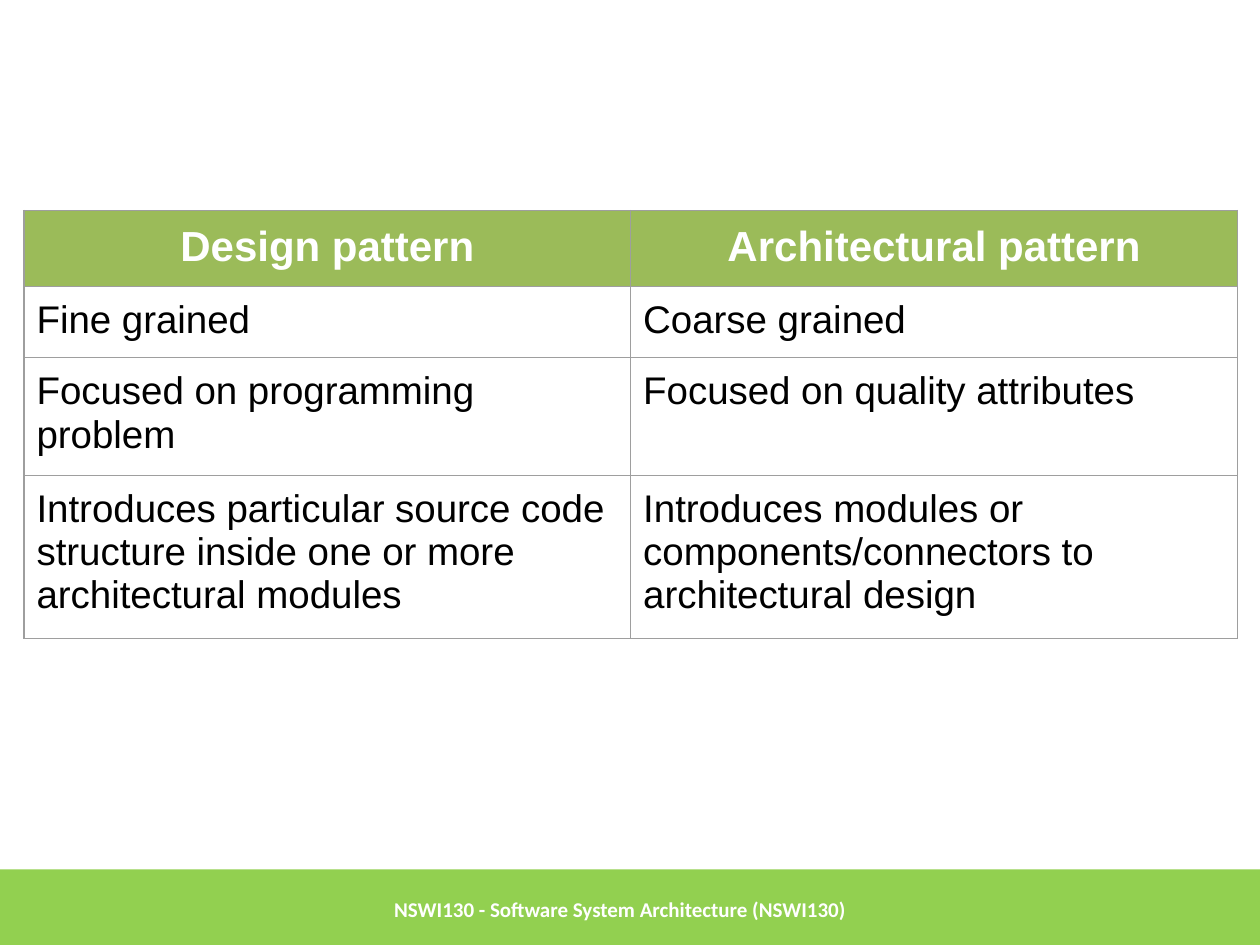
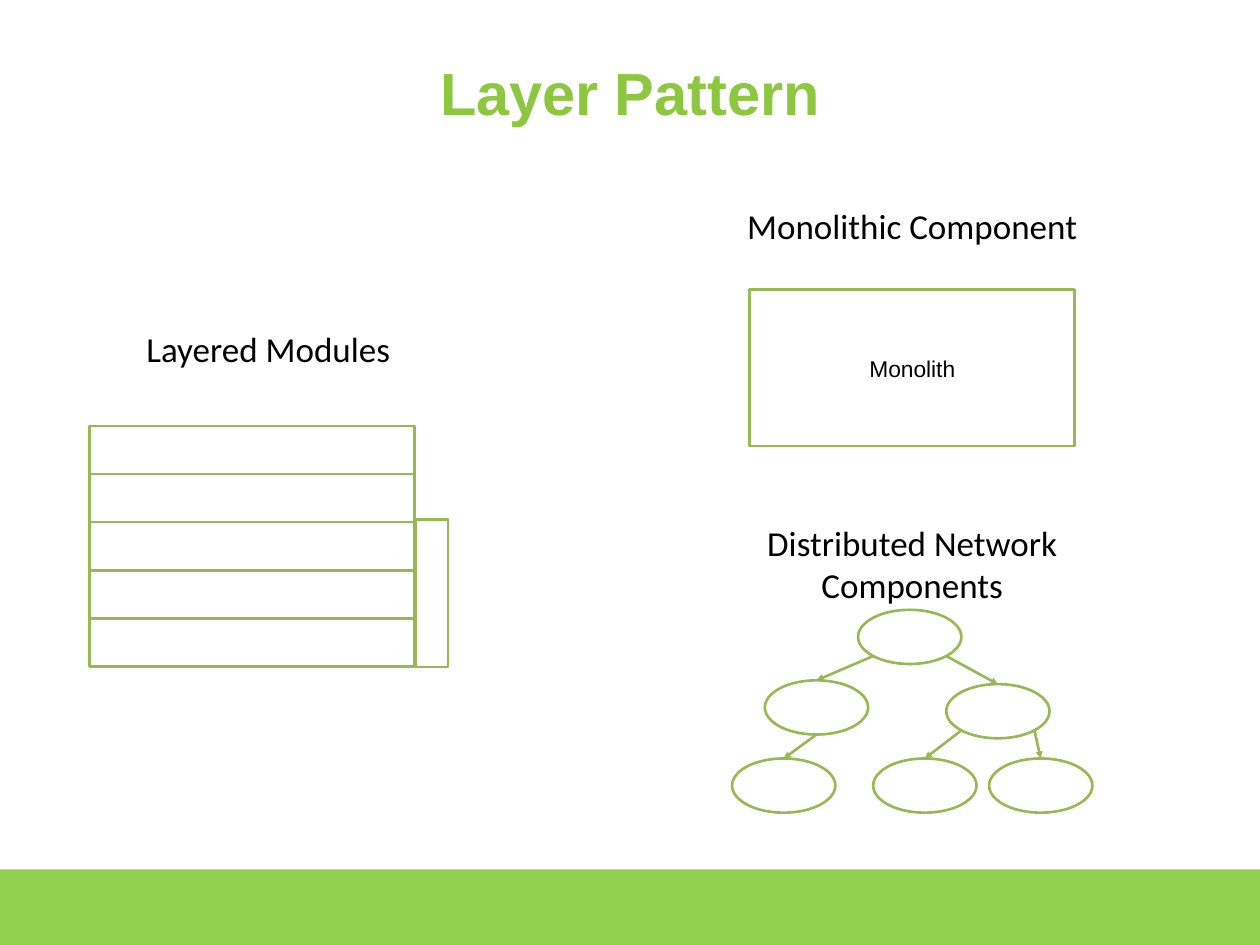
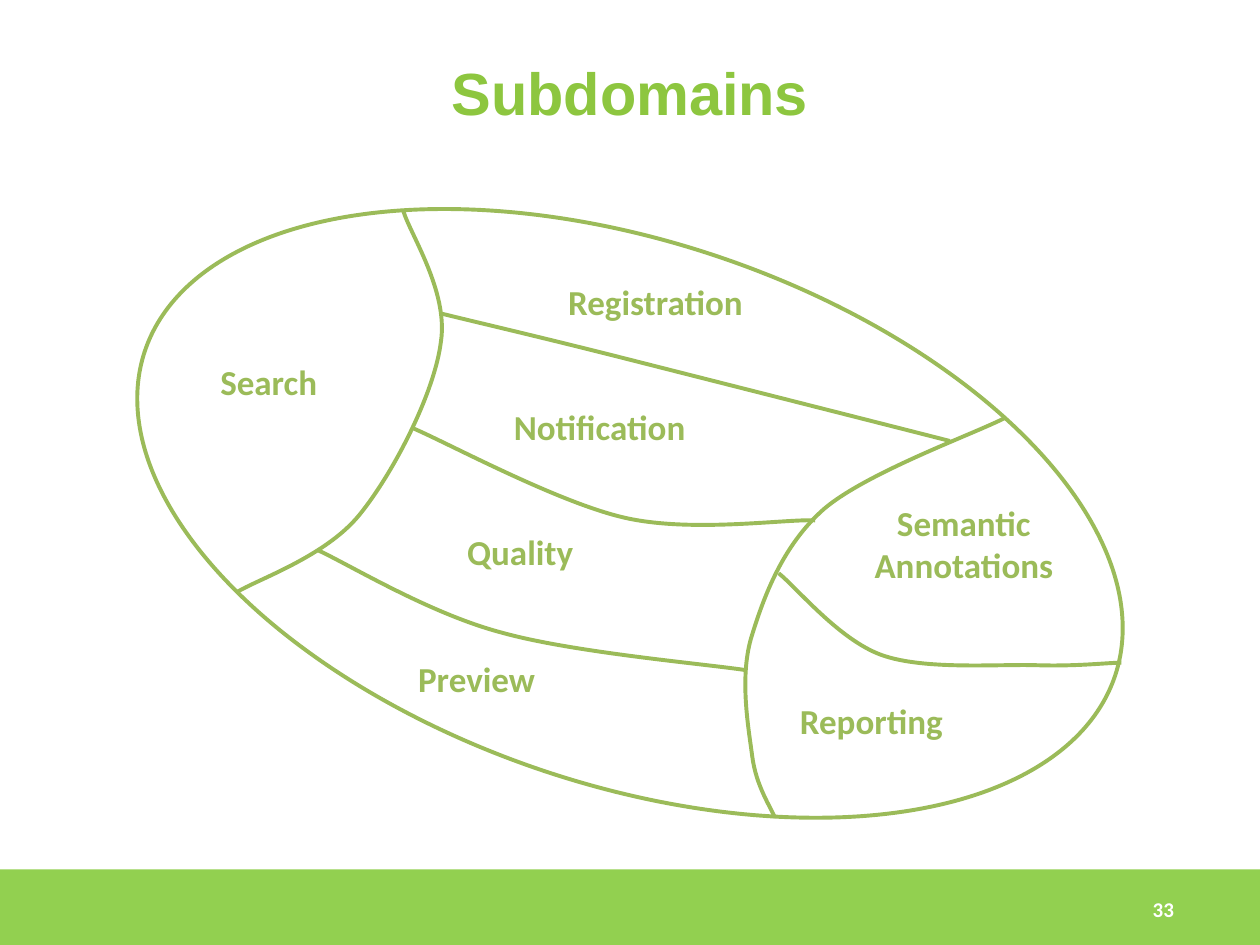
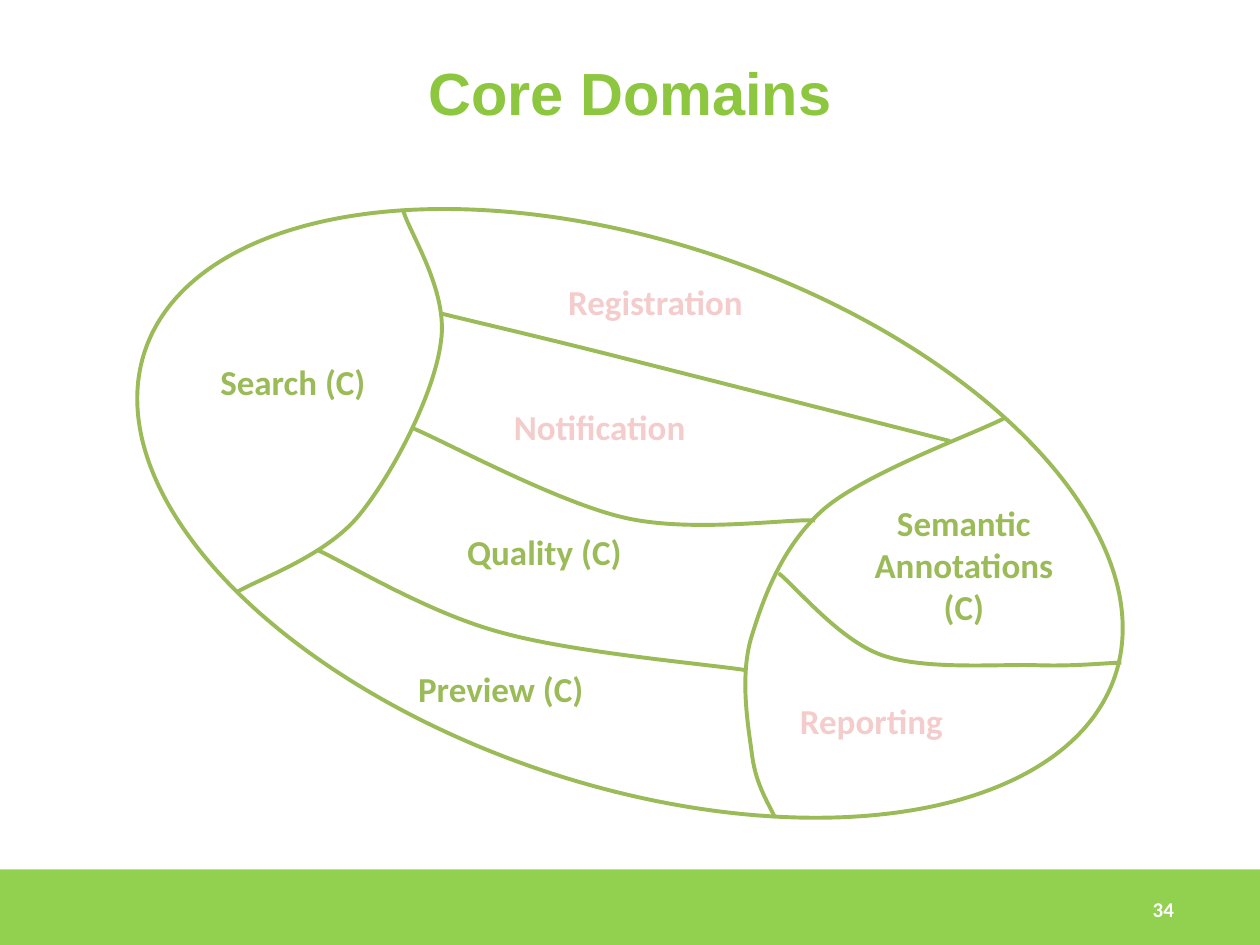
"""Build four slides on architectural patterns and domain decomposition."""
from math import sqrt

from lxml.etree import SubElement
from pptx import Presentation
from pptx.dml.color import RGBColor
from pptx.enum.shapes import MSO_CONNECTOR, MSO_SHAPE
from pptx.enum.text import MSO_ANCHOR, PP_ALIGN
from pptx.oxml.ns import qn
from pptx.util import Inches, Pt

COLORS = {
    "band": "92D050", "title": "8DC63F", "outline": "97B853", "domain": "9BBB59",
    "muted": "F4CCCC", "border": "9E9E9E", "white": "FFFFFF", "black": "000000",
}
TITLE_ONLY, BLANK = 5, 6
BAND = (0, 6.9, 10, 0.63)
TITLE_BOX = (0.5, 0.3, 9, 0.85)
FOOTER_BOX = (3.03, 6.9, 6.02, 0.63)
NUMBER_BOX = (9.05, 6.9, 0.83, 0.63)

COURSE = "NSWI130 - Software System Architecture (NSWI130)"
PATTERN_TABLE = (0.19, 1.67, 9.63, 3.22)
PATTERN_ROWS = [
    ("Design pattern", "Architectural pattern"),
    ("Fine grained", "Coarse grained"),
    ("Focused on programming problem", "Focused on quality attributes"),
    ("Introduces particular source code structure inside one or more architectural modules",
     "Introduces modules or components/connectors to architectural design"),
]

LAYER_STACK = (0.71, 3.38, 2.58, 1.91)
LAYER_COUNT = 5
SIDE_LAYER = (2.84, 4.58, 1.17, 0.26)
MONOLITH = (5.95, 2.3, 2.58, 1.24)
LAYER_LABELS = [
    ("Layered Modules", (0.71, 2.5, 2.84, 0.68), MSO_ANCHOR.TOP),
    ("Monolithic Component", (5.82, 1.45, 2.84, 0.68), MSO_ANCHOR.MIDDLE),
    ("Distributed Network Components", (5.82, 4.13, 2.84, 0.68), MSO_ANCHOR.MIDDLE),
]
NODE_WIDTH, NODE_HEIGHT = 0.82, 0.43
NODES = {
    "root": (6.81, 4.84), "left": (6.07, 5.4), "right": (7.51, 5.43),
    "left leaf": (5.81, 6.02), "middle leaf": (6.93, 6.02), "right leaf": (7.85, 6.02),
}
EDGES = [
    ("root", -1, "left"), ("root", 1, "right"), ("left", 0, "left leaf"),
    ("right", -1, "middle leaf"), ("right", 1, "right leaf"),
]

DOMAIN_ELLIPSE = (0.94, 1.92, 8.12, 4.31)
DOMAIN_TILT = 18.5
BOUNDARIES = [
    [(3.2, 1.67), (3.25, 1.85), (3.56, 2.31), (3.5, 2.71), (3.45, 3.12), (3.12, 3.76),
     (2.85, 4.09), (2.58, 4.42), (2.04, 4.6), (1.88, 4.7)],
    [(7.97, 3.32), (7.74, 3.44), (6.88, 3.75), (6.54, 4.04), (6.21, 4.33), (6.06, 4.74),
     (5.96, 5.07), (5.87, 5.39), (5.94, 5.77), (5.97, 6), (6, 6.24), (6.12, 6.41), (6.15, 6.49)],
    [(6.18, 4.55), (6.32, 4.66), (6.66, 5.08), (7, 5.2), (7.34, 5.32), (7.92, 5.27),
     (8.23, 5.28), (8.55, 5.29), (8.79, 5.26), (8.9, 5.26)],
    [(3.51, 2.49), (3.75, 2.55), (4.27, 2.67), (4.94, 2.84), (5.61, 3.01), (7.11, 3.39), (7.54, 3.5)],
    [(3.28, 3.4), (3.56, 3.52), (4.43, 3.99), (4.96, 4.11), (5.49, 4.23), (6.22, 4.12), (6.47, 4.13)],
    [(2.53, 4.37), (2.77, 4.48), (3.41, 4.87), (3.98, 5.02), (4.55, 5.18), (5.61, 5.27), (5.93, 5.32)],
]
DOMAIN_BOXES = {
    "Search": (1.65, 2.76, 1.57, 0.73),
    "Registration": (4.41, 2.13, 1.68, 0.73),
    "Notification": (3.98, 3.12, 1.57, 0.73),
    "Quality": (3.61, 4.11, 1.57, 0.73),
    "Preview": (3.22, 5.12, 1.33, 0.57),
    "Semantic Annotations": (6.25, 3.88, 2.8, 0.94),
    "Reporting": (6.25, 5.45, 1.46, 0.57),
}
CORE_DOMAINS = {"Search", "Quality", "Preview", "Semantic Annotations"}
CORE_BOXES = DOMAIN_BOXES | {"Preview": (3.22, 5.2, 1.64, 0.57)}


def rgb(name):
    return RGBColor.from_string(COLORS[name])


def inches(values):
    return [Inches(value) for value in values]


def write(frame, lines, size, color, font="Calibri", bold=False,
          align=PP_ALIGN.LEFT, anchor=MSO_ANCHOR.TOP, inset=0.1):
    frame.word_wrap = True
    frame.vertical_anchor = anchor
    frame.margin_left = frame.margin_right = Inches(0.1)
    frame.margin_top = frame.margin_bottom = Inches(inset)
    for index, line in enumerate(lines):
        para = frame.paragraphs[0] if index == 0 else frame.add_paragraph()
        para.alignment = align
        span = para.add_run()
        span.text = line
        span.font.name, span.font.size, span.font.bold = font, Pt(size), bold
        span.font.color.rgb = rgb(color)


def add_text(page, place, lines, *style, **options):
    box = page.shapes.add_textbox(*inches(place))
    write(box.text_frame, lines, *style, **options)


def finish(shape, line=None, width=1.5, fill=None):
    shape.shadow.inherit = False
    if fill:
        shape.fill.solid()
        shape.fill.fore_color.rgb = rgb(fill)
    else:
        shape.fill.background()
    if line:
        shape.line.color.rgb = rgb(line)
        shape.line.width = Pt(width)
    else:
        shape.line.fill.background()


def add_shape(page, kind, place, line="outline", width=1.5, fill=None):
    shape = page.shapes.add_shape(kind, *inches(place))
    finish(shape, line, width, fill)
    return shape


def add_arrow(page, start, end):
    arrow = page.shapes.add_connector(MSO_CONNECTOR.STRAIGHT, *inches(start + end))
    arrow.line.color.rgb = rgb("outline")
    arrow.line.width = Pt(1.5)
    SubElement(arrow.line._get_or_add_ln(), qn("a:tailEnd"), type="triangle", w="sm", len="sm")
    SubElement(arrow.element.spPr, qn("a:effectLst"))


def add_curve(page, controls):
    builder = page.shapes.build_freeform(*inches(controls[0]))
    builder.add_line_segments([inches(point) for point in controls[1:]], close=False)
    curve = builder.convert_to_shape()
    finish(curve, "domain", 2.25)
    outline = next(curve.element.iter(qn("a:path")))
    segments = outline.findall(qn("a:lnTo"))
    for first in range(0, len(segments), 3):
        bezier = SubElement(outline, qn("a:cubicBezTo"))
        for segment in segments[first:first + 3]:
            bezier.append(segment[0])
            outline.remove(segment)


def add_page(deck, title=None):
    page = deck.slides.add_slide(deck.slide_layouts[TITLE_ONLY if title else BLANK])
    if title:
        heading = page.shapes.title
        heading.left, heading.top, heading.width, heading.height = inches(TITLE_BOX)
        write(heading.text_frame, [title], 34, "title", font="Arial", bold=True,
              align=PP_ALIGN.CENTER, anchor=MSO_ANCHOR.MIDDLE, inset=0.05)
    return page


def add_footer(page, place, text):
    add_text(page, place, [text], 12, "white", bold=True, anchor=MSO_ANCHOR.MIDDLE, inset=0.05)


def add_master_band(deck, page):
    band = add_shape(page, MSO_SHAPE.RECTANGLE, BAND, line=None, fill="band")
    deck.slide_master.element.cSld.spTree.insert(2, band.element)


def style_cell(cell, text, is_header):
    properties = cell._tc.get_or_add_tcPr()
    for side in ("lnL", "lnR", "lnT", "lnB"):
        border = SubElement(properties, qn(f"a:{side}"), w=str(Pt(0.75)))
        fill = SubElement(border, qn("a:solidFill"))
        SubElement(fill, qn("a:srgbClr"), val=COLORS["border"])
    cell.margin_left = cell.margin_right = cell.margin_top = cell.margin_bottom = Inches(0.1)
    if is_header:
        cell.fill.solid()
        cell.fill.fore_color.rgb = rgb("domain")
        write(cell.text_frame, [text], 24, "white", font="Arial", bold=True, align=PP_ALIGN.CENTER)
    else:
        cell.fill.background()
        write(cell.text_frame, [text], 22, "black", font="Arial")


def build_pattern_table(deck):
    page = add_page(deck)
    add_master_band(deck, page)
    add_footer(page, FOOTER_BOX, COURSE)
    frame = page.shapes.add_table(len(PATTERN_ROWS), 2, *inches(PATTERN_TABLE))
    table = frame.table
    table.first_row = table.horz_banding = False
    for row_index, texts in enumerate(PATTERN_ROWS):
        table.rows[row_index].height = Inches(0.42)
        for column_index, text in enumerate(texts):
            style_cell(table.cell(row_index, column_index), text, row_index == 0)
    frame.height = Inches(PATTERN_TABLE[3])


def build_layer_pattern(deck):
    page = add_page(deck, "Layer Pattern")
    left, top, width, height = LAYER_STACK
    layer_height = height / LAYER_COUNT
    for index in reversed(range(LAYER_COUNT)):
        add_shape(page, MSO_SHAPE.RECTANGLE, (left, top + index * layer_height, width, layer_height))
    add_shape(page, MSO_SHAPE.RECTANGLE, SIDE_LAYER).rotation = 90
    monolith = add_shape(page, MSO_SHAPE.RECTANGLE, MONOLITH)
    write(monolith.text_frame, ["Monolith"], 13, "black", font="Arial",
          align=PP_ALIGN.CENTER, anchor=MSO_ANCHOR.MIDDLE)
    for x, y in NODES.values():
        add_shape(page, MSO_SHAPE.OVAL, (x, y, NODE_WIDTH, NODE_HEIGHT))
    for parent, side, child in EDGES:
        (parent_x, parent_y), (child_x, child_y) = NODES[parent], NODES[child]
        drop = 1 / sqrt(2) if side else 1
        start = (parent_x + NODE_WIDTH / 2 * (1 + side * drop), parent_y + NODE_HEIGHT / 2 * (1 + drop))
        add_arrow(page, start, (child_x + NODE_WIDTH / 2, child_y))
    for text, place, anchor in LAYER_LABELS:
        add_text(page, place, [text], 20, "black", align=PP_ALIGN.CENTER, anchor=anchor)


def build_domain_map(deck, title, number, boxes, core=None):
    page = add_page(deck, title)
    add_footer(page, NUMBER_BOX, number)
    ellipse = add_shape(page, MSO_SHAPE.OVAL, DOMAIN_ELLIPSE, "domain", 2.25, "white")
    ellipse.rotation = DOMAIN_TILT
    for controls in BOUNDARIES:
        add_curve(page, controls)
    for name, place in boxes.items():
        stacked = " " in name
        lines = name.split()
        if core and name in core:
            lines = lines + ["(C)"] if stacked else [f"{name} (C)"]
        color = "domain" if core is None or name in core else "muted"
        add_text(page, place, lines, 20, color, bold=True,
                 align=PP_ALIGN.CENTER if stacked else PP_ALIGN.LEFT)


def main():
    deck = Presentation()
    deck.slide_width, deck.slide_height = Inches(10), Inches(7.5)
    build_pattern_table(deck)
    build_layer_pattern(deck)
    build_domain_map(deck, "Subdomains", "33", DOMAIN_BOXES)
    build_domain_map(deck, "Core Domains", "34", CORE_BOXES, CORE_DOMAINS)
    deck.save("out.pptx")


if __name__ == "__main__":
    main()
